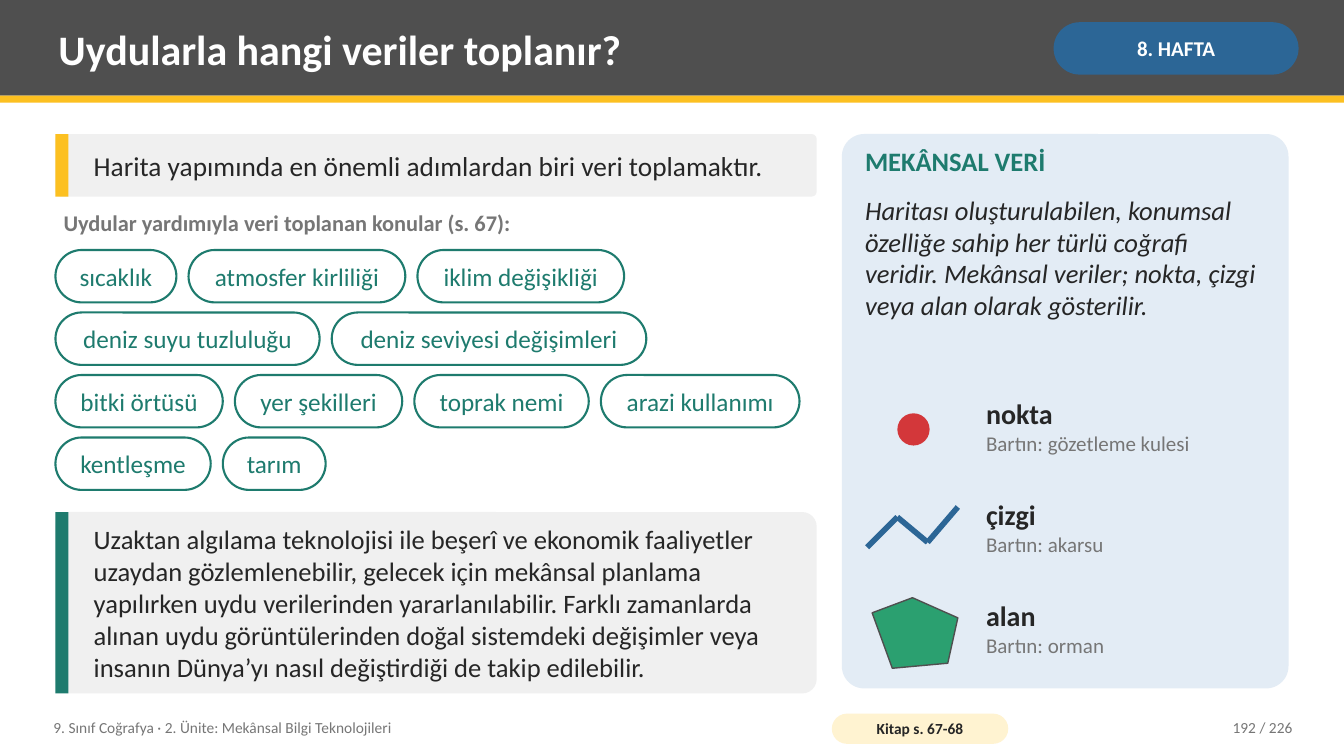
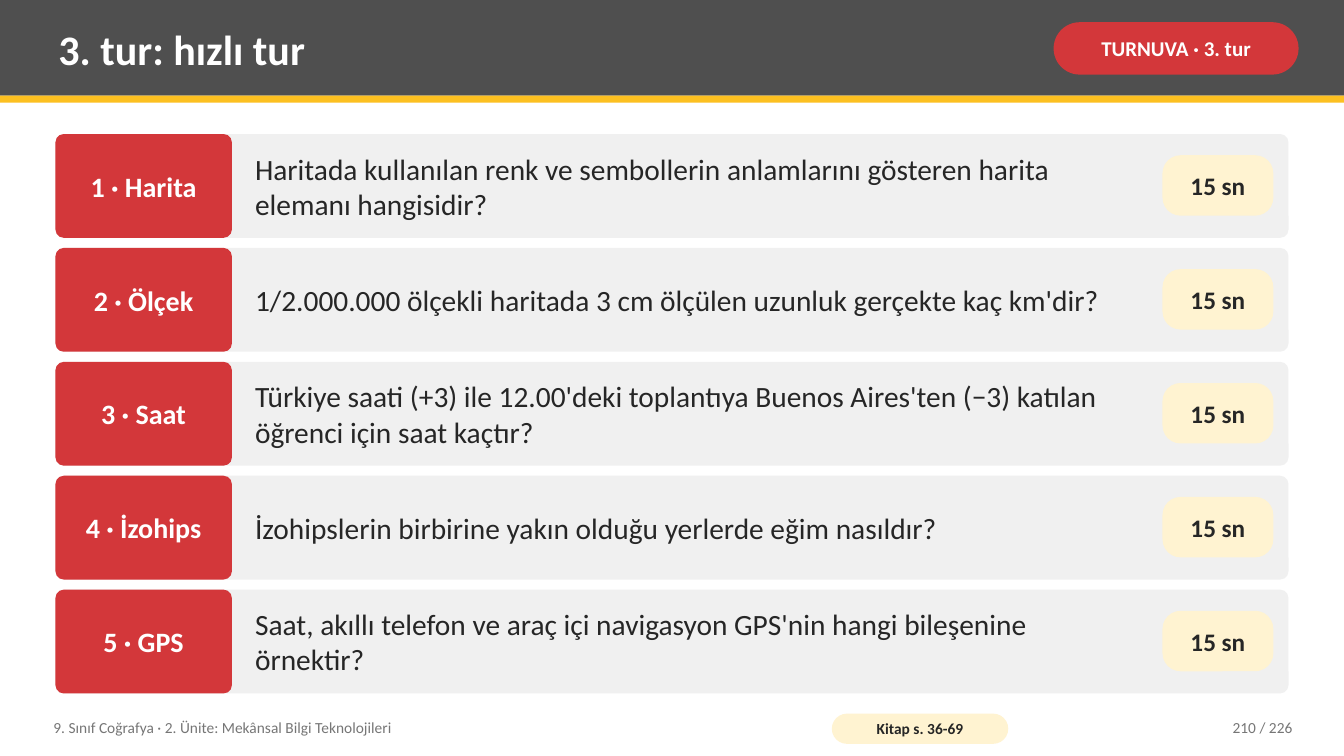
"""Builds two geography lesson slides: satellite data and a quick quiz round."""
from itertools import pairwise

from lxml.etree import SubElement
from pptx import Presentation
from pptx.dml.color import RGBColor
from pptx.enum.shapes import MSO_CONNECTOR, MSO_SHAPE
from pptx.enum.text import MSO_ANCHOR, PP_ALIGN
from pptx.oxml.ns import qn
from pptx.util import Pt

PX = 9144
FONT = "Calibri"
WHITE = RGBColor(0xFF, 0xFF, 0xFF)
INK = RGBColor(0x26, 0x26, 0x26)
MUTED = RGBColor(0x76, 0x76, 0x76)
CHARCOAL = RGBColor(0x4F, 0x4F, 0x4F)
YELLOW = RGBColor(0xFC, 0xC0, 0x21)
CREAM = RGBColor(0xFF, 0xF3, 0xD1)
PALE_GRAY = RGBColor(0xF0, 0xF0, 0xF0)
PALE_BLUE = RGBColor(0xE3, 0xEC, 0xF5)
BLUE = RGBColor(0x2C, 0x66, 0x96)
RED = RGBColor(0xD3, 0x37, 0x3A)
TEAL = RGBColor(0x1E, 0x7B, 0x6E)
GREEN = RGBColor(0x2B, 0xA0, 0x70)

COURSE = "9. Sınıf Coğrafya · 2. Ünite: Mekânsal Bilgi Teknolojileri"
PAGE_COUNT = 226
LEFT, TOP, CONTENT_WIDTH = 55, 133, 1223

TOPIC_ROWS = [
    [("sıcaklık", 120), ("atmosfer kirliliği", 215), ("iklim değişikliği", 205)],
    [("deniz suyu tuzluluğu", 262), ("deniz seviyesi değişimleri", 312)],
    [("bitki örtüsü", 166), ("yer şekilleri", 166), ("toprak nemi", 173),
     ("arazi kullanımı", 197)],
    [("kentleşme", 154), ("tarım", 102)],
]
QUESTIONS = [
    ("Harita", "Haritada kullanılan renk ve sembollerin anlamlarını gösteren "
               "harita elemanı hangisidir?"),
    ("Ölçek", "1/2.000.000 ölçekli haritada 3 cm ölçülen uzunluk gerçekte kaç km'dir?"),
    ("Saat", "Türkiye saati (+3) ile 12.00'deki toplantıya Buenos Aires'ten (−3) "
             "katılan öğrenci için saat kaçtır?"),
    ("İzohips", "İzohipslerin birbirine yakın olduğu yerlerde eğim nasıldır?"),
    ("GPS", "Saat, akıllı telefon ve araç içi navigasyon GPS'nin hangi bileşenine "
            "örnektir?"),
]


def emu(*lengths):
    """Turn px lengths into EMU."""
    return [length * PX for length in lengths]


def write(shape, *lines, align=PP_ALIGN.LEFT, anchor=MSO_ANCHOR.MIDDLE, inset=(8, 4)):
    """Fill a shape with lines given as (text, colour, font values)."""
    frame = shape.text_frame
    across, down = emu(*inset)
    values = {"word_wrap": True, "vertical_anchor": anchor, "margin_left": across,
              "margin_right": across, "margin_top": down, "margin_bottom": down}
    for name, value in values.items():
        setattr(frame, name, value)
    for index, (text, colour, font_values) in enumerate(lines):
        paragraph = frame.add_paragraph() if index else frame.paragraphs[0]
        paragraph.alignment = align
        run = paragraph.add_run()
        run.text = text
        run.font.color.rgb = colour
        for name, value in {"name": FONT, **font_values}.items():
            setattr(run.font, name, value)


def add_text(slide, box, *lines, **layout):
    """Add a text box."""
    write(slide.shapes.add_textbox(*emu(*box)), *lines, **layout)


def paint(shape, fill, outline=None, weight=1):
    """Set fill and outline, without a shadow."""
    shape.shadow.inherit = False
    shape.fill.solid()
    shape.fill.fore_color.rgb = fill
    if outline is None:
        shape.line.fill.background()
    else:
        shape.line.color.rgb = outline
        shape.line.width = Pt(weight)


def add_block(slide, box, fill, kind=MSO_SHAPE.RECTANGLE, outline=None, weight=1):
    """Add a filled preset shape."""
    block = slide.shapes.add_shape(kind, *emu(*box))
    paint(block, fill, outline, weight)
    return block


def add_rounded(slide, box, fill, radius=0.5, outline=None, weight=1):
    """Add a rounded rectangle."""
    rounded = add_block(slide, box, fill, MSO_SHAPE.ROUNDED_RECTANGLE, outline, weight)
    rounded.adjustments[0] = radius
    return rounded


def add_page(deck, title, tag, tag_colour, book_pages, number):
    """Add a slide with the shared title band, tag and footer."""
    slide = deck.slides.add_slide(deck.slide_layouts[6])
    add_block(slide, (0, 0, 1333, 95), CHARCOAL)
    add_block(slide, (0, 95, 1333, 7), YELLOW)
    add_text(slide, (50, 7, 975, 82), (title, WHITE, {"size": Pt(30), "bold": True}))
    write(add_rounded(slide, (1045, 22, 243, 52), tag_colour),
          (tag, WHITE, {"size": Pt(15), "bold": True}),
          align=PP_ALIGN.CENTER, inset=(5, 2))
    footer = {"size": Pt(11)}
    add_text(slide, (45, 704, 760, 36), (COURSE, MUTED, footer))
    write(add_rounded(slide, (825, 708, 175, 30), CREAM),
          (f"Kitap s. {book_pages}", INK, {**footer, "bold": True}),
          align=PP_ALIGN.CENTER, inset=(4, 0))
    add_text(slide, (1130, 704, 160, 36), (f"{number} / {PAGE_COUNT}", MUTED, footer),
             align=PP_ALIGN.RIGHT)
    return slide


def add_note(slide, box, accent, text, size):
    """Add a gray note with a coloured bar on its left."""
    left, top, width, height = box
    add_rounded(slide, box, PALE_GRAY, 0.08)
    add_block(slide, (left, top, 13, height), accent)
    add_text(slide, (left + 30, top, width - 45, height), (text, INK, {"size": Pt(size)}))


def add_topics(slide, box):
    """Add the heading and the rows of topic pills."""
    left, top, width, _ = box
    add_text(slide, (left, top, width, 40),
             ("Uydular yardımıyla veri toplanan konular (s. 67):", MUTED,
              {"size": Pt(16), "bold": True}), anchor=MSO_ANCHOR.TOP)
    for row, topics in enumerate(TOPIC_ROWS):
        pill_left = left
        for topic, pill_width in topics:
            pill = add_rounded(slide, (pill_left, top + 45 + row * 62, pill_width, 52),
                               WHITE, outline=TEAL, weight=1.5)
            write(pill, (topic, TEAL, {"size": Pt(18)}),
                  align=PP_ALIGN.CENTER, inset=(10, 0))
            pill_left += pill_width + 12


def draw_point(slide, left, top):
    """Draw the point symbol."""
    add_block(slide, (left + 30, top + 32, 32, 32), RED, MSO_SHAPE.OVAL)


def draw_line(slide, left, top):
    """Draw the zigzag line symbol."""
    bends = [(0, 65), (30, 35), (60, 60), (90, 25)]
    for (x1, y1), (x2, y2) in pairwise(bends):
        segment = slide.shapes.add_connector(
            MSO_CONNECTOR.STRAIGHT, *emu(left + x1, top + y1, left + x2, top + y2))
        segment.line.color.rgb = BLUE
        segment.line.width = Pt(4)
        SubElement(segment._element.spPr, qn("a:effectLst"))


def draw_area(slide, left, top):
    """Draw the area symbol."""
    corners = [(left + x, top + y)
               for x, y in [(5, 30), (45, 15), (90, 35), (80, 80), (25, 85)]]
    outline = slide.shapes.build_freeform(*corners[0], scale=PX)
    outline.add_line_segments(corners[1:], close=True)
    paint(outline.convert_to_shape(), GREEN, CHARCOAL)


def add_spatial_data(slide, box):
    """Add the definition panel with its three symbols."""
    left, top, width, _ = box
    add_rounded(slide, box, PALE_BLUE, 0.05)
    add_text(slide, (left + 15, top + 7, width - 30, 45),
             ("MEKÂNSAL VERİ", TEAL, {"size": Pt(19), "bold": True}),
             anchor=MSO_ANCHOR.TOP)
    add_text(slide, (left + 15, top + 55, width - 30, 175),
             ("Haritası oluşturulabilen, konumsal özelliğe sahip her türlü coğrafi "
              "veridir. Mekânsal veriler; nokta, çizgi veya alan olarak gösterilir.",
              INK, {"size": Pt(19), "italic": True}), anchor=MSO_ANCHOR.TOP)
    symbols = [(draw_point, "nokta", "gözetleme kulesi"),
               (draw_line, "çizgi", "akarsu"), (draw_area, "alan", "orman")]
    for index, (draw, name, example) in enumerate(symbols):
        symbol_top = top + 245 + index * 100
        draw(slide, left + 25, symbol_top)
        add_text(slide, (left + 135, symbol_top, width - 150, 90),
                 (name, INK, {"size": Pt(20), "bold": True}),
                 (f"Bartın: {example}", MUTED, {"size": Pt(15)}))


def add_question(slide, box, label, question):
    """Add one quiz row: label, question and time limit."""
    left, top, width, height = box
    add_rounded(slide, box, PALE_GRAY, 0.08)
    write(add_rounded(slide, (left, top, 175, height), RED, 0.08),
          (label, WHITE, {"size": Pt(20), "bold": True}),
          align=PP_ALIGN.CENTER, inset=(6, 8))
    add_text(slide, (left + 190, top, width - 335, height),
             (question, INK, {"size": Pt(21)}))
    time_limit = add_rounded(
        slide, (left + width - 125, top + (height - 60) // 2, 110, 60), CREAM, 0.3)
    write(time_limit, ("15 sn", INK, {"size": Pt(18), "bold": True}),
          align=PP_ALIGN.CENTER, inset=(3, 0))


def build_satellite_slide(deck):
    """Build the slide on data gathered by satellites."""
    slide = add_page(deck, "Uydularla hangi veriler toplanır?", "8. HAFTA", BLUE,
                     "67-68", 192)
    add_note(slide, (LEFT, TOP, 755, 62), YELLOW,
             "Harita yapımında en önemli adımlardan biri veri toplamaktır.", 19.5)
    add_topics(slide, (LEFT, 203, 755, 283))
    add_note(slide, (LEFT, 508, 755, 180), TEAL,
             "Uzaktan algılama teknolojisi ile beşerî ve ekonomik faaliyetler uzaydan "
             "gözlemlenebilir, gelecek için mekânsal planlama yapılırken uydu "
             "verilerinden yararlanılabilir. Farklı zamanlarda alınan uydu "
             "görüntülerinden doğal sistemdeki değişimler veya insanın Dünya’yı nasıl "
             "değiştirdiği de takip edilebilir.", 19)
    add_spatial_data(slide, (835, TOP, 443, 550))


def build_quiz_slide(deck):
    """Build the quick quiz round."""
    slide = add_page(deck, "3. tur: hızlı tur", "TURNUVA · 3. tur", RED, "36-69", 210)
    for index, (subject, question) in enumerate(QUESTIONS):
        add_question(slide, (LEFT, TOP + index * 113, CONTENT_WIDTH, 103),
                     f"{index + 1} · {subject}", question)


def main():
    """Build and save the deck."""
    deck = Presentation()
    deck.slide_width, deck.slide_height = emu(1333, 750)
    build_satellite_slide(deck)
    build_quiz_slide(deck)
    deck.save("out.pptx")


if __name__ == "__main__":
    main()
